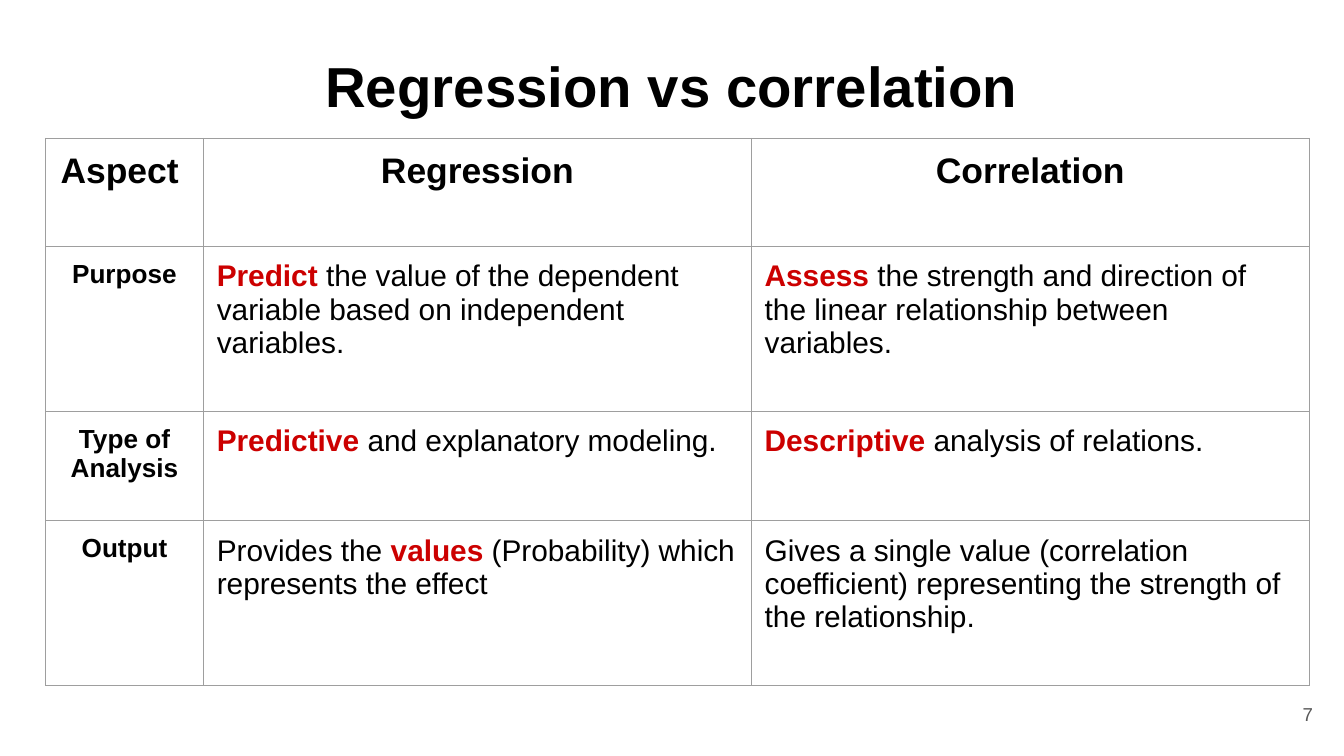
from dataclasses import dataclass

from lxml.etree import SubElement
from pptx import Presentation
from pptx.dml.color import RGBColor
from pptx.enum.text import MSO_ANCHOR, PP_ALIGN
from pptx.oxml.ns import qn
from pptx.util import Pt


@dataclass(frozen=True)
class Theme:
    font: str = "Arial"
    ink: str = "000000"
    accent: str = "CC0000"
    muted: str = "595959"
    grid: str = "9E9E9E"
    title_size: float = 30.2
    header_size: float = 19
    aspect_size: float = 14
    body_size: float = 16
    number_size: float = 10
    inset: float = 7.2
    grid_width: float = 0.75


HEADERS = ["Aspect ", "Regression", "Correlation"]
# Asterisks enclose the highlighted words.
COMPARISONS = [
    ["Purpose",
     "*Predict *the value of the dependent variable based on independent variables.",
     "*Assess* the strength and direction of the linear relationship between variables."],
    ["Type of Analysis",
     "*Predictive *and explanatory modeling.",
     "*Descriptive* analysis of relations."],
    ["Output",
     "Provides the *values* (Probability) which represents the effect",
     "Gives a single value (correlation coefficient) representing the strength "
     "of the relationship."],
]
COLUMN_WIDTHS = [84.5, 293.5, 299]
ROW_HEIGHTS = [57.9, 88.2, 58.7, 88.2]


def write_text(frame, text, theme, *, size, color=None, bold=False, align=PP_ALIGN.LEFT):
    """Fill the first paragraph, giving words between asterisks the accent style."""
    para = frame.paragraphs[0]
    para.alignment = align
    for index, part in enumerate(text.split("*")):
        if not part:
            continue
        highlighted = index % 2 == 1
        span = para.add_run()
        span.text = part
        span.font.name = theme.font
        span.font.size = Pt(size)
        span.font.bold = bold or highlighted
        span.font.color.rgb = RGBColor.from_string(
            theme.accent if highlighted else color or theme.ink)


class SlideBuilder:
    def __init__(self, page, theme):
        self.page = page
        self.theme = theme

    def text_box(self, text, left, top, width, height, *, anchor=MSO_ANCHOR.TOP,
                 top_inset=None, bottom_inset=None, **text_format):
        box = self.page.shapes.add_textbox(Pt(left), Pt(top), Pt(width), Pt(height))
        frame = box.text_frame
        frame.word_wrap = True
        frame.vertical_anchor = anchor
        inset = self.theme.inset
        frame.margin_left = frame.margin_right = Pt(inset)
        frame.margin_top = Pt(inset if top_inset is None else top_inset)
        frame.margin_bottom = Pt(inset if bottom_inset is None else bottom_inset)
        write_text(frame, text, self.theme, **text_format)

    def border(self, cell):
        properties = cell._tc.get_or_add_tcPr()
        for position, side in enumerate(("lnL", "lnR", "lnT", "lnB")):
            line = SubElement(properties, qn(f"a:{side}"), w=str(Pt(self.theme.grid_width)))
            fill = SubElement(line, qn("a:solidFill"))
            SubElement(fill, qn("a:srgbClr"), val=self.theme.grid)
            properties.insert(position, line)

    def table(self, rows, left, top, widths, heights):
        theme = self.theme
        table = self.page.shapes.add_table(
            len(rows), len(widths), Pt(left), Pt(top),
            Pt(sum(widths)), Pt(sum(heights))).table
        table.first_row = table.horz_banding = False
        for column, width in zip(table.columns, widths):
            column.width = Pt(width)
        for row, height in zip(table.rows, heights):
            row.height = Pt(height)
        for row_index, texts in enumerate(rows):
            for column_index, text in enumerate(texts):
                cell = table.cell(row_index, column_index)
                cell.fill.background()
                cell.margin_left = cell.margin_right = Pt(theme.inset)
                cell.margin_top = cell.margin_bottom = Pt(theme.inset)
                self.border(cell)
                label = row_index == 0 or column_index == 0
                if row_index == 0:
                    size = theme.header_size
                else:
                    size = theme.aspect_size if label else theme.body_size
                write_text(cell.text_frame, text, theme, size=size, bold=label,
                           align=PP_ALIGN.CENTER if label else PP_ALIGN.LEFT)


def main():
    deck = Presentation()
    deck.slide_width, deck.slide_height = Pt(720), Pt(405)
    theme = Theme()
    builder = SlideBuilder(deck.slides.add_slide(deck.slide_layouts[6]), theme)
    builder.text_box("Regression vs correlation", 24.5, 16.6, 671, 45.4,
                     top_inset=10.6, bottom_inset=0, size=theme.title_size,
                     bold=True, align=PP_ALIGN.CENTER)
    builder.text_box("7", 667.2, 367.2, 43.2, 31, anchor=MSO_ANCHOR.MIDDLE,
                     size=theme.number_size, color=theme.muted, align=PP_ALIGN.RIGHT)
    builder.table([HEADERS, *COMPARISONS], 24.5, 74.2, COLUMN_WIDTHS, ROW_HEIGHTS)
    deck.save("out.pptx")


if __name__ == "__main__":
    main()
